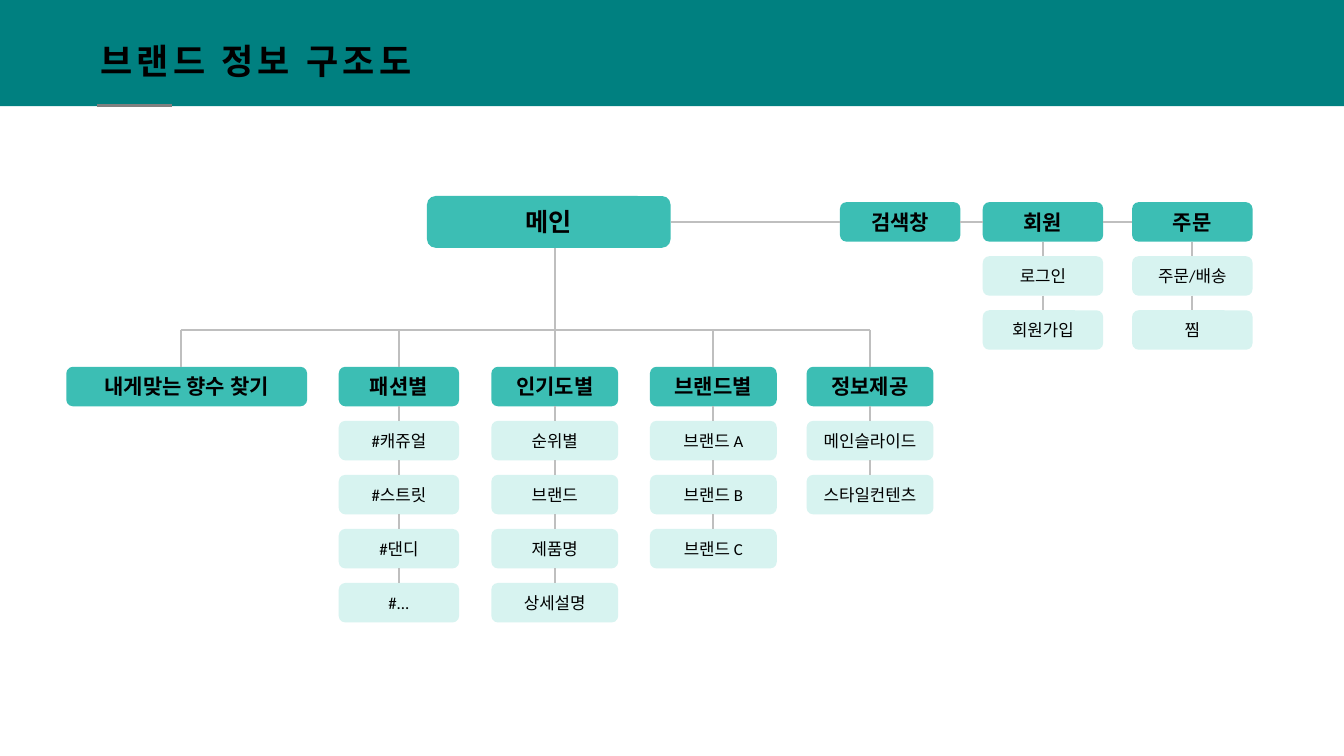
from lxml import etree
from pptx import Presentation
from pptx.dml.color import RGBColor
from pptx.enum.shapes import MSO_CONNECTOR, MSO_SHAPE
from pptx.enum.text import MSO_ANCHOR, PP_ALIGN
from pptx.oxml.ns import qn
from pptx.util import Pt

LINE = MSO_CONNECTOR.STRAIGHT
RECT, ROUND = MSO_SHAPE.RECTANGLE, MSO_SHAPE.ROUNDED_RECTANGLE
MIDDLE, CENTER = MSO_ANCHOR.MIDDLE, PP_ALIGN.CENTER
TOP, LEFT, BOTTOM, RIGHT = range(4)

TITLE = "브랜드 정보 구조도"
MAIN = ("메인", 305, 140, 174, 37)
# Each column: left, width, header, items
TOOLS = [
    (600, 86, "검색창", []),
    (702, 86, "회원", ["로그인", "회원가입"]),
    (808.7, 86, "주문", ["주문/배송", "찜"]),
]
BRANCHES = [
    (47.4, 172, "내게맞는 향수 찾기", []),
    (242, 86, "패션별", ["#캐쥬얼", "#스트릿", "#댄디", "#..."]),
    (351, 90.6, "인기도별", ["순위별", "브랜드", "제품명", "상세설명"]),
    (464.3, 90.6, "브랜드별", ["브랜드 A", "브랜드 B", "브랜드 C"]),
    (576.2, 90.6, "정보제공", ["메인슬라이드", "스타일컨텐츠"]),
]
TOOL_TOP, BRANCH_TOP, BUS = 144.4, 262, 235.6
HIGH, STEP = 28.2, 38.6
FIRST_DROP = 129
TRUNK = 2  # the branch below the main box

HEAD = {"size": Pt(15), "bold": True, "name": "Calibri"}
ROOT = {**HEAD, "size": Pt(18)}
ITEM = {**HEAD, "size": Pt(12), "bold": False}
BIG = {"size": Pt(25), "bold": True, "name": "Roboto Condensed"}


def color(code):
    return RGBColor.from_string(code)


def write(frame, text, font):
    frame.word_wrap = True
    run = frame.paragraphs[0].add_run()
    run.text = text
    run.font.color.rgb = color("000000")
    for key, value in font.items():
        setattr(run.font, key, value)
    return run


def block(kind, fill, *area):
    shape = slide.shapes.add_shape(kind, *map(Pt, area))
    shape.shadow.inherit = False
    shape.fill.solid()
    shape.fill.fore_color.rgb = color(fill)
    shape.line.fill.background()
    return shape


def node(text, font, fill, *area):
    shape = block(ROUND, fill, *area)
    frame = shape.text_frame
    frame.margin_left = frame.margin_right = 0
    frame.vertical_anchor = MIDDLE
    frame.paragraphs[0].alignment = CENTER
    write(frame, text, font)
    return shape


def line(x1=0, y1=0, x2=0, y2=0, code="BFBFBF", width=1.5):
    link = slide.shapes.add_connector(LINE, *map(Pt, (x1, y1, x2, y2)))
    link.line.color.rgb = color(code)
    link.line.width = Pt(width)
    etree.SubElement(link.element.spPr, qn("a:effectLst"))
    return link


def join(start, side, end, other):
    link = line()
    link.begin_connect(start, side)
    link.end_connect(end, other)


def column(left, width, name, items, top):
    """Stack a header and its items, and return the header."""
    head = last = node(name, HEAD, "3CBEB4", left, top, width, HIGH)
    for row, text in enumerate(items, 1):
        box = node(text, ITEM, "D7F3F0", left, top + row * STEP, width, HIGH)
        join(last, BOTTOM, box, TOP)
        last = box
    return head


deck = Presentation()
deck.slide_width, deck.slide_height = Pt(960), Pt(540)
slide = deck.slides.add_slide(deck.slide_layouts[6])

block(RECT, "008080", 0, -1.2, 960, 77)
title = slide.shapes.add_textbox(Pt(5.8), Pt(24.5), Pt(524), Pt(67.7))
title.text_frame.margin_left = Pt(66)
write(title.text_frame, TITLE, BIG).font._element.set("spc", "300")
line(69.4, 75.3, 123, 75.3, "808080", 2)

name, *area = MAIN
main = node(name, ROOT, "3CBEB4", *area)

last = main
for col in TOOLS:
    head = column(*col, TOOL_TOP)
    join(last, RIGHT, head, LEFT)
    last = head

mids = [left + width / 2 for left, width, *_ in BRANCHES]
line(FIRST_DROP, BUS, mids[-1], BUS)
for i, (col, mid) in enumerate(zip(BRANCHES, mids)):
    head = column(*col, BRANCH_TOP)
    if i == 0:
        line(FIRST_DROP, BUS, FIRST_DROP, BRANCH_TOP)
        continue
    start = area[1] + area[3] if i == TRUNK else BUS
    line(mid, start, mid, BRANCH_TOP).end_connect(head, TOP)

deck.save("out.pptx")
